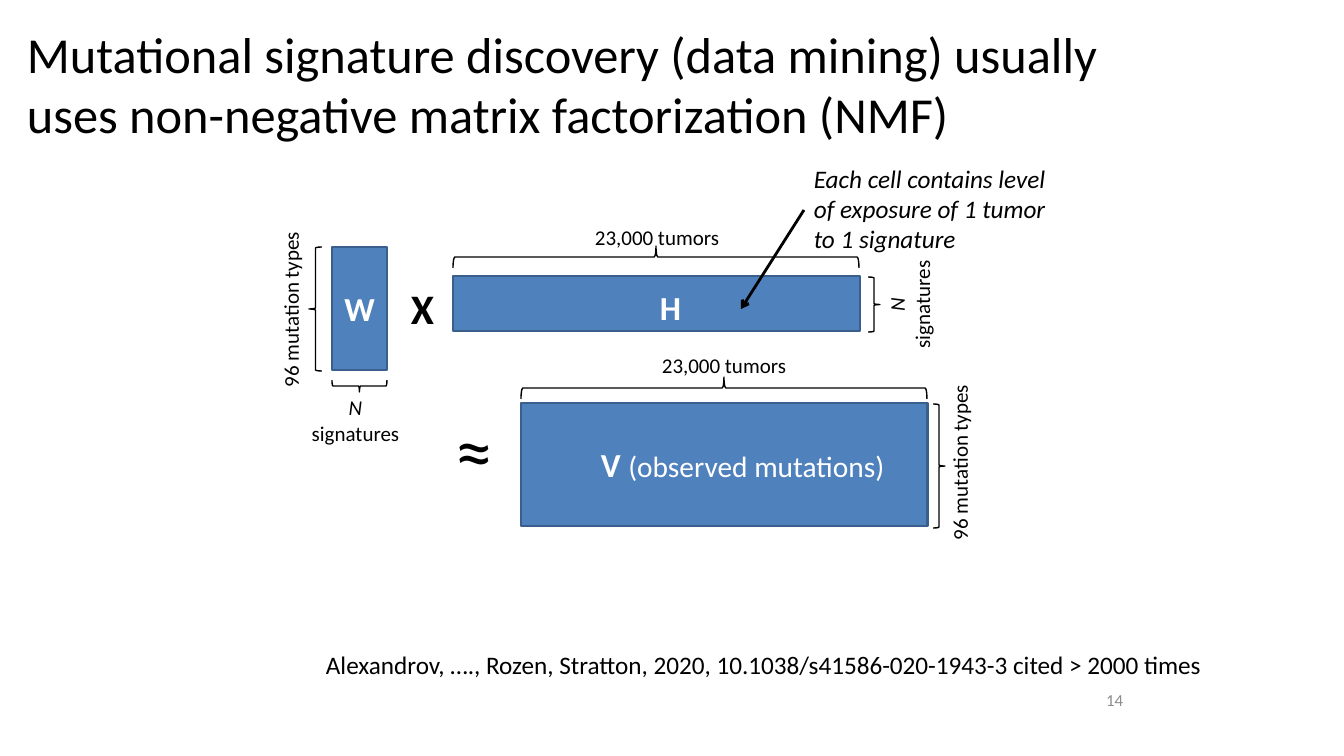
"""Build the slide on signature discovery by non-negative matrix factorization."""
import pptx
import pptx.dml.color
import pptx.enum.shapes
import pptx.enum.text
import pptx.util
from pptx.oxml import parse_xml
from pptx.oxml.ns import nsdecls

SHAPES = pptx.enum.shapes.MSO_SHAPE
ALIGN = pptx.enum.text.PP_ALIGN
ANCHOR = pptx.enum.text.MSO_ANCHOR
AUTOSIZE = pptx.enum.text.MSO_AUTO_SIZE

SCALE = 914400 / 100.8
FONT = "Calibri"
BLACK, WHITE, GREY = "000000", "FFFFFF", "8C8C8C"
FILL, EDGE = "4F81BD", "3A5F8C"

TITLE = ("Mutational signature discovery (data mining) usually uses "
         "non-negative matrix factorization (NMF)")
CALLOUT = "Each cell contains level of exposure of 1 tumor to 1 signature"
CITATION = ("Alexandrov, …., Rozen, Stratton, 2020, 10.1038/s41586-020-1943-3 "
            "cited > 2000 times")
PAGE = "14"

MATRICES = [(332, 247, 55, 123), (453, 276, 407, 55), (521, 403, 407, 123)]
BRACES = [
    (SHAPES.LEFT_BRACE, (309, 247, 13, 124), 0),
    (SHAPES.LEFT_BRACE, (332, 380, 55, 12), 270),
    (SHAPES.RIGHT_BRACE, (453, 246, 406, 22), 270),
    (SHAPES.LEFT_BRACE, (868, 277, 12, 55), 180),
    (SHAPES.RIGHT_BRACE, (521, 377, 406, 22), 270),
    (SHAPES.LEFT_BRACE, (933, 404, 12, 124), 180),
]

TYPES = [[("96 mutation types", 15, "")]]
TUMORS = [[("23,000 tumors", 15, "")]]
SIGNATURES = [[("N", 15, "i")], [("signatures", 15, "")]]
DIMENSIONS = [
    (TYPES, (273, 220, 35, 177), 270, ALIGN.LEFT),
    (SIGNATURES, (301, 390, 109, 61), 0, ALIGN.CENTER),
    (TUMORS, (585, 220, 146, 35), 0, ALIGN.LEFT),
    (SIGNATURES, (879, 250, 61, 109), 270, ALIGN.CENTER),
    (TUMORS, (652, 348, 146, 35), 0, ALIGN.LEFT),
    (TYPES, (942, 373, 35, 177), 270, ALIGN.LEFT),
]

MATRIX_W = [[("W", 24, "b")]]
SYMBOLS = [
    ([[("H", 24, "b")]], (650, 282, 41, 50), WHITE),
    ([[("V ", 24, "b"), ("(observed mutations)", 21, "")]], (591, 439, 307, 50), WHITE),
    ([[("X", 30, "b")]], (401, 278, 43, 61), BLACK),
    ([[("≈", 54, "")]], (446, 398, 58, 102), BLACK),
    ([[(CITATION, 18, "")]], (316, 644, 900, 40), BLACK),
]
ARROW = (804, 210, 741, 309)


def px(length):
    return pptx.util.Emu(round(length * SCALE))


def rgb(code):
    return pptx.dml.color.RGBColor.from_string(code)


def unturned(box, turn):
    """Return the frame that fills the seen box once it is turned."""
    x, y, w, h = box
    if turn % 180:
        x, y, w, h = x + (w - h) / 2, y + (h - w) / 2, h, w
    return [px(v) for v in (x, y, w, h)]


def write(frame, paragraphs, color, align):
    for i, runs in enumerate(paragraphs):
        paragraph = frame.add_paragraph() if i else frame.paragraphs[0]
        paragraph.alignment = align
        for words, size, style in runs:
            run = paragraph.add_run()
            run.text = words
            run.font.name = FONT
            run.font.size = pptx.util.Pt(size)
            run.font.bold = "b" in style
            run.font.italic = "i" in style
            run.font.color.rgb = rgb(color)


def add_label(slide, paragraphs, box, color=BLACK, turn=0, align=ALIGN.LEFT,
              wrap=False, anchor=ANCHOR.TOP, autosize=AUTOSIZE.SHAPE_TO_FIT_TEXT):
    label = slide.shapes.add_textbox(*unturned(box, turn))
    label.rotation = turn
    frame = label.text_frame
    frame.word_wrap = wrap
    frame.auto_size = autosize
    frame.vertical_anchor = anchor
    write(frame, paragraphs, color, align)


def add_outline(slide, preset, box, edge, width, fill=None, turn=0):
    shape = slide.shapes.add_shape(preset, *unturned(box, turn))
    shape.rotation = turn
    shape.shadow.inherit = False
    shape.line.color.rgb = rgb(edge)
    shape.line.width = pptx.util.Pt(width)
    if fill:
        shape.fill.solid()
        shape.fill.fore_color.rgb = rgb(fill)
    else:
        shape.fill.background()
    return shape


def add_arrow(slide, ends):
    arrow = slide.shapes.add_connector(
        pptx.enum.shapes.MSO_CONNECTOR.STRAIGHT, *[px(v) for v in ends])
    arrow.line.color.rgb = rgb(BLACK)
    arrow.line.width = pptx.util.Pt(2)
    arrow.line._get_or_add_ln().append(
        parse_xml(f'<a:tailEnd {nsdecls("a")} type="arrow"/>'))
    arrow._element.spPr.append(parse_xml(f'<a:effectLst {nsdecls("a")}/>'))


def main():
    deck = pptx.Presentation()
    deck.slide_width, deck.slide_height = px(1344), px(756)
    slide = deck.slides.add_slide(deck.slide_layouts[6])

    add_label(slide, [[(TITLE, 36, "")]], (17, 8, 1134, 151), wrap=True,
              anchor=ANCHOR.MIDDLE, autosize=AUTOSIZE.NONE)
    matrices = [add_outline(slide, SHAPES.RECTANGLE, box, EDGE, 2, FILL)
                for box in MATRICES]
    w_frame = matrices[0].text_frame
    w_frame.vertical_anchor = ANCHOR.MIDDLE
    write(w_frame, MATRIX_W, WHITE, ALIGN.CENTER)

    for preset, box, turn in BRACES:
        add_outline(slide, preset, box, BLACK, 1, turn=turn)
    for paragraphs, box, turn, align in DIMENSIONS:
        add_label(slide, paragraphs, box, turn=turn, align=align)

    add_arrow(slide, ARROW)
    add_label(slide, [[(CALLOUT, 18, "i")]], (804, 158, 274, 102), wrap=True)
    for paragraphs, box, color in SYMBOLS:
        add_label(slide, paragraphs, box, color)
    add_label(slide, [[(PAGE, 12, "")]], (898, 685, 235, 30), GREY,
              align=ALIGN.RIGHT, wrap=True, anchor=ANCHOR.MIDDLE,
              autosize=AUTOSIZE.NONE)
    deck.save("out.pptx")


if __name__ == "__main__":
    main()
